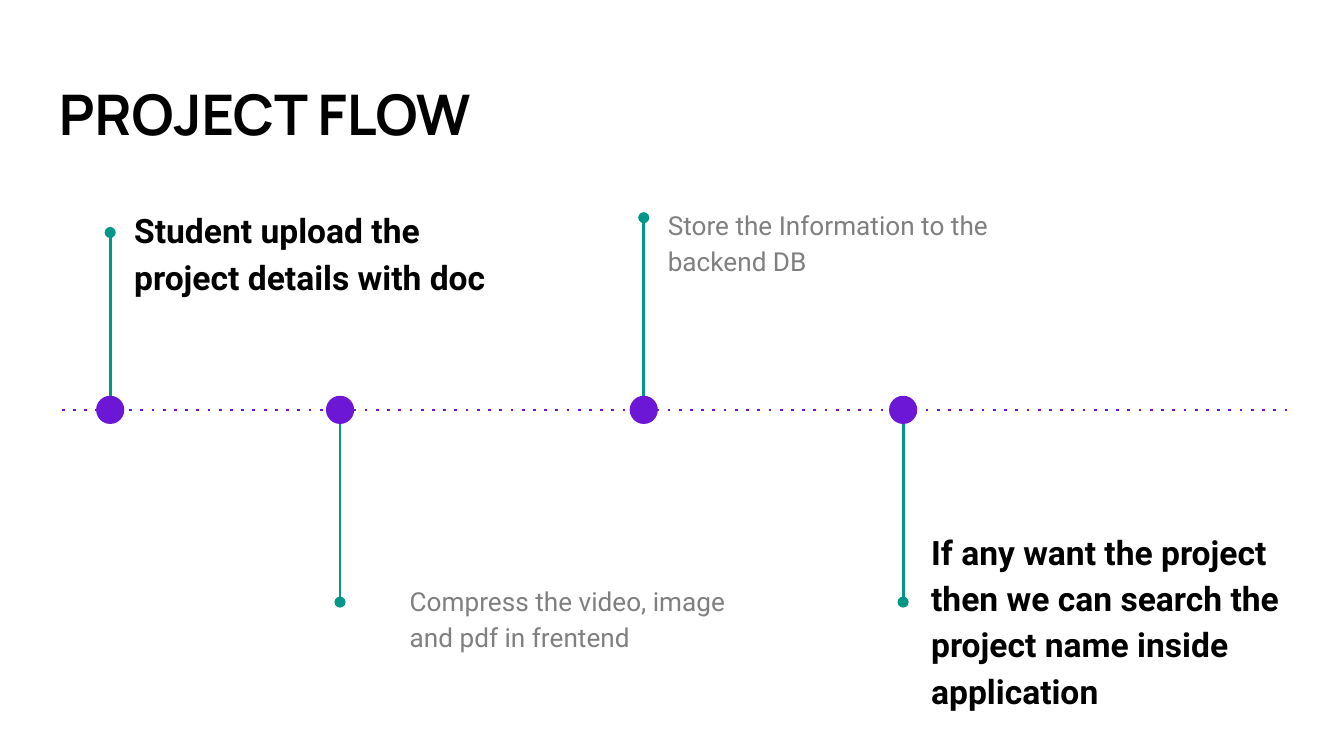
from lxml.etree import SubElement
from pptx import Presentation
from pptx.dml.color import RGBColor
from pptx.enum.shapes import MSO_CONNECTOR as Link, MSO_SHAPE as Shape
from pptx.oxml.ns import qn
from pptx.util import Inches, Pt

BLACK = RGBColor(0x00, 0x00, 0x00)
GRAY = RGBColor(0x7F, 0x7F, 0x7F)
PURPLE = RGBColor(0x6C, 0x16, 0xD6)
TEAL = RGBColor(0x00, 0x96, 0x88)

AXIS = 3.05
DOT = 0.21

# stem x, stem end y, text left, text top, bold, text
STEPS = [
    (0.82, 1.73, 0.9, 1.42, True, "Student upload the project details with doc"),
    (2.53, 4.48, 2.95, 4.22, False, "Compress the video, image and pdf in frentend"),
    (4.79, 1.62, 4.87, 1.42, False, "Store the Information to the backend DB"),
    (6.72, 4.48, 6.83, 3.81, True,
     "If any want the project then we can search the project name inside application"),
]


class Board:
    head_font = "Manrope"
    body_font = "Roboto"
    inset = Inches(0.1)
    weight = Pt(1.5)

    def __init__(self, slide):
        self.slide = slide

    def text(self, box, words, font, size, color, bold, spacing=1.0):
        frame = self.slide.shapes.add_textbox(*map(Inches, box)).text_frame
        frame.word_wrap = True
        frame.margin_left = frame.margin_right = self.inset
        frame.margin_top = frame.margin_bottom = self.inset
        frame.text = words
        para = frame.paragraphs[0]
        para.line_spacing = spacing
        style = para.runs[0].font
        style.name, style.size, style.bold = font, Pt(size), bold
        style.color.rgb = color

    def line(self, start, end, color, tag, **attrs):
        """Draw a line; tag and attrs add one dash or arrowhead element."""
        link = self.slide.shapes.add_connector(
            Link.STRAIGHT, *map(Inches, (*start, *end)))
        link.line.color.rgb = color
        link.line.width = self.weight
        props = link._element.spPr
        SubElement(props.find(qn("a:ln")), qn(tag), attrs)
        SubElement(props, qn("a:effectLst"))

    def dot(self, x, y):
        left, top = x - DOT / 2, y - DOT / 2
        dot = self.slide.shapes.add_shape(
            Shape.OVAL, *map(Inches, (left, top, DOT, DOT)))
        dot.shadow.inherit = False
        dot.fill.solid()
        dot.fill.fore_color.rgb = PURPLE
        dot.line.fill.background()

    def step(self, x, end, left, top, bold, words):
        edge = AXIS + (DOT / 2 if end > AXIS else -DOT / 2)
        self.line((x, edge), (x, end), TEAL, "a:tailEnd", type="oval")
        self.dot(x, AXIS)
        size, color = (18, BLACK) if bold else (14, GRAY)
        self.text((left, top, 2.91, 1.06), words, self.body_font,
                  size, color, bold, 1.15)


def main():
    deck = Presentation()
    deck.slide_width = Inches(10)
    deck.slide_height = Inches(10 * 9 / 16)
    board = Board(deck.slides.add_slide(deck.slide_layouts[6]))
    board.text((0.34, 0.49, 9.32, 0.68), "PROJECT FLOW",
               board.head_font, 30, BLACK, True)
    board.line((0.46, AXIS), (9.58, AXIS), PURPLE, "a:prstDash", val="dot")
    for step in STEPS:
        board.step(*step)
    deck.save("out.pptx")


if __name__ == "__main__":
    main()
